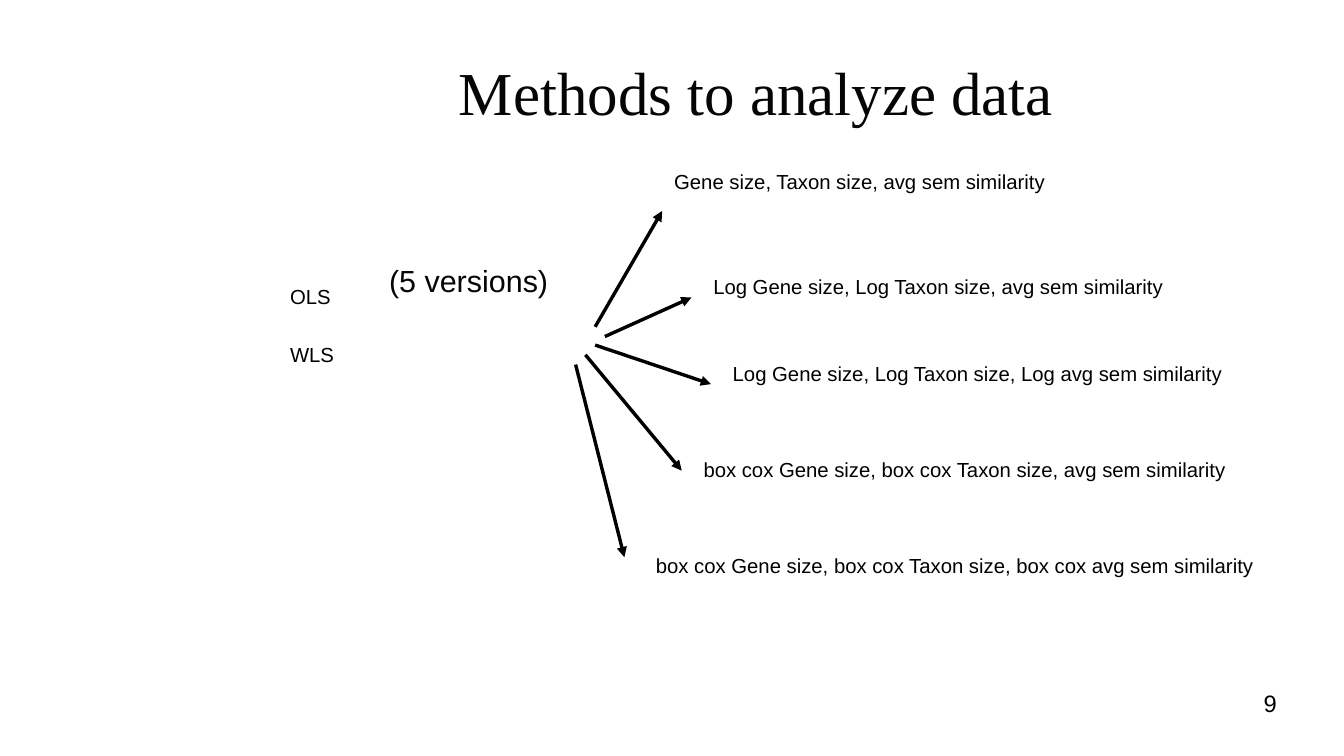
from pptx import Presentation
from pptx.dml.color import RGBColor
from pptx.enum.shapes import MSO_CONNECTOR
from pptx.enum.text import MSO_ANCHOR, PP_ALIGN
from pptx.oxml.ns import qn
from pptx.util import Inches, Pt
from lxml.etree import SubElement

BLACK = RGBColor(0, 0, 0)
INK = RGBColor(5, 5, 5)

deck = Presentation()
deck.slide_width, deck.slide_height = Inches(11.02), Inches(6.2)
slide = deck.slides.add_slide(deck.slide_layouts[5])


def put(text, left, top, width, height, box=None, size=12, font="Arial",
        color=BLACK, align=PP_ALIGN.LEFT, anchor=MSO_ANCHOR.TOP, inset=(0.1, 0.05)):
    """Write text into a given box, or into a new text box."""
    box = box or slide.shapes.add_textbox(0, 0, 0, 0)
    box.left, box.top = Inches(left), Inches(top)
    box.width, box.height = Inches(width), Inches(height)
    frame = box.text_frame
    frame.word_wrap = True
    frame.vertical_anchor = anchor
    frame.margin_left = frame.margin_right = Inches(inset[0])
    frame.margin_top = frame.margin_bottom = Inches(inset[1])
    line = frame.paragraphs[0]
    line.alignment = align
    run = line.add_run()
    run.text = text
    run.font.size, run.font.name = Pt(size), font
    run.font.color.rgb = color


put("Methods to analyze data", 1.77, 0.24, 8.86, 1.02, box=slide.shapes.title,
    size=36, font="Times New Roman", color=INK, align=PP_ALIGN.CENTER,
    anchor=MSO_ANCHOR.MIDDLE, inset=(0, 0))
put("(5 versions)", 3.19, 2.15, 1.6, 0.3, size=18, color=INK, inset=(0, 0))
put("OLS", 2.28, 2.28, 0.87, 0.29)
put("WLS", 2.28, 2.76, 0.87, 0.29)

# Each version: label, its left, top and width, then arrow start and end
versions = [
    ("Gene size, Taxon size, avg sem similarity",
     5.43, 1.34, 4.33, (4.88, 2.68), (5.43, 1.73)),
    ("Log Gene size, Log Taxon size, avg sem similarity",
     5.75, 2.2, 4.88, (4.96, 2.76), (5.67, 2.44)),
    ("Log Gene size, Log Taxon size, Log avg sem similarity",
     5.91, 2.91, 4.8, (4.88, 2.83), (5.83, 3.15)),
    ("box cox Gene size, box cox Taxon size, avg sem similarity",
     5.67, 3.7, 5.12, (4.8, 2.91), (5.59, 3.86)),
    ("box cox Gene size, box cox Taxon size, box cox avg sem similarity",
     5.28, 4.49, 5.43, (4.72, 2.99), (5.12, 4.57)),
]
for label, left, top, width, start, end in versions:
    put(label, left, top, width, 0.29)
    ends = [Inches(n) for n in start + end]
    arrow = slide.shapes.add_connector(MSO_CONNECTOR.STRAIGHT, *ends)
    arrow.line.color.rgb = BLACK
    arrow.line.width = Pt(0)
    SubElement(arrow.line._get_or_add_ln(), qn("a:tailEnd"), type="triangle")
    SubElement(arrow._element.spPr, qn("a:effectLst"))

put("9", 7.9, 5.65, 2.57, 0.43, size=14, align=PP_ALIGN.RIGHT, inset=(0, 0))

deck.save("out.pptx")
